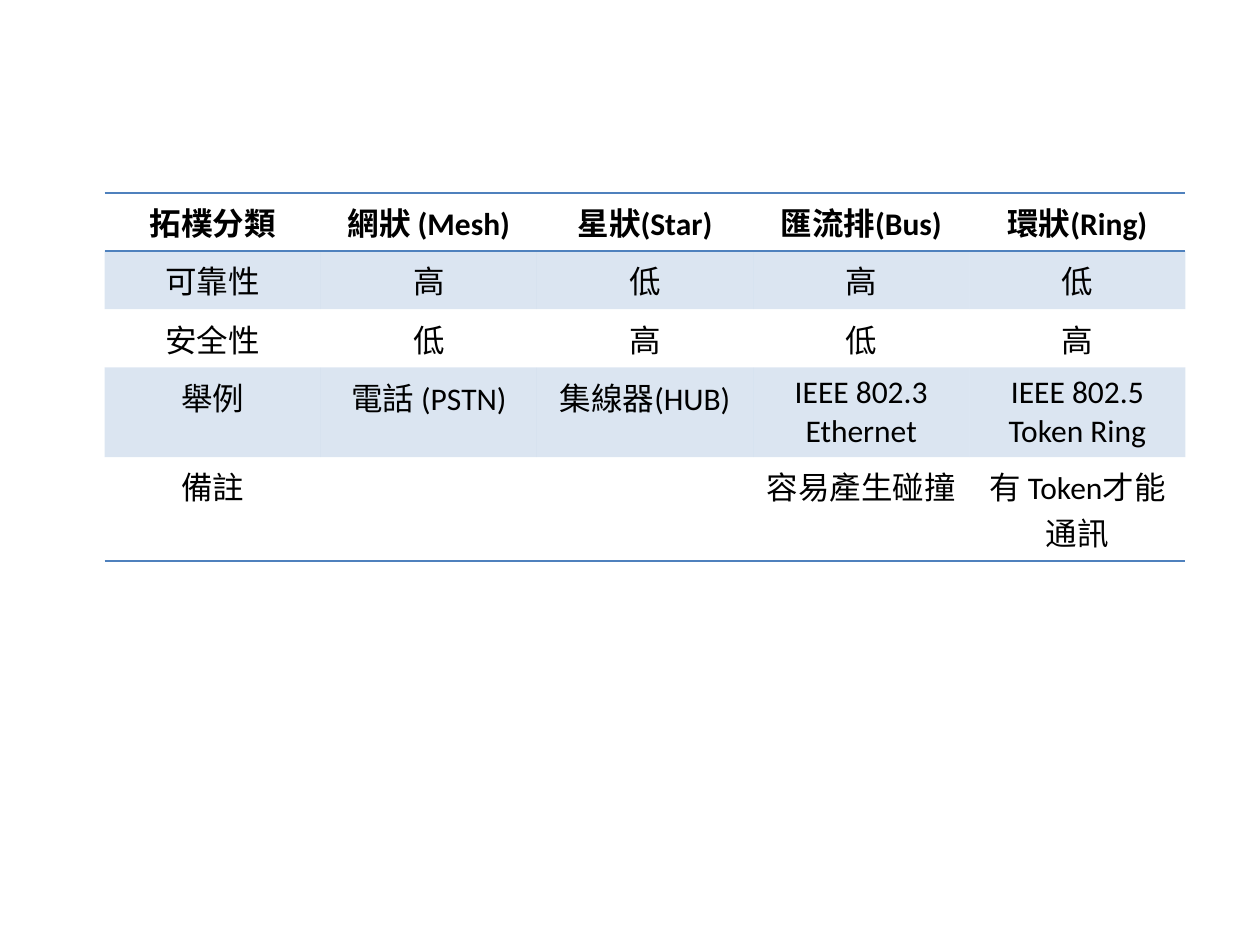
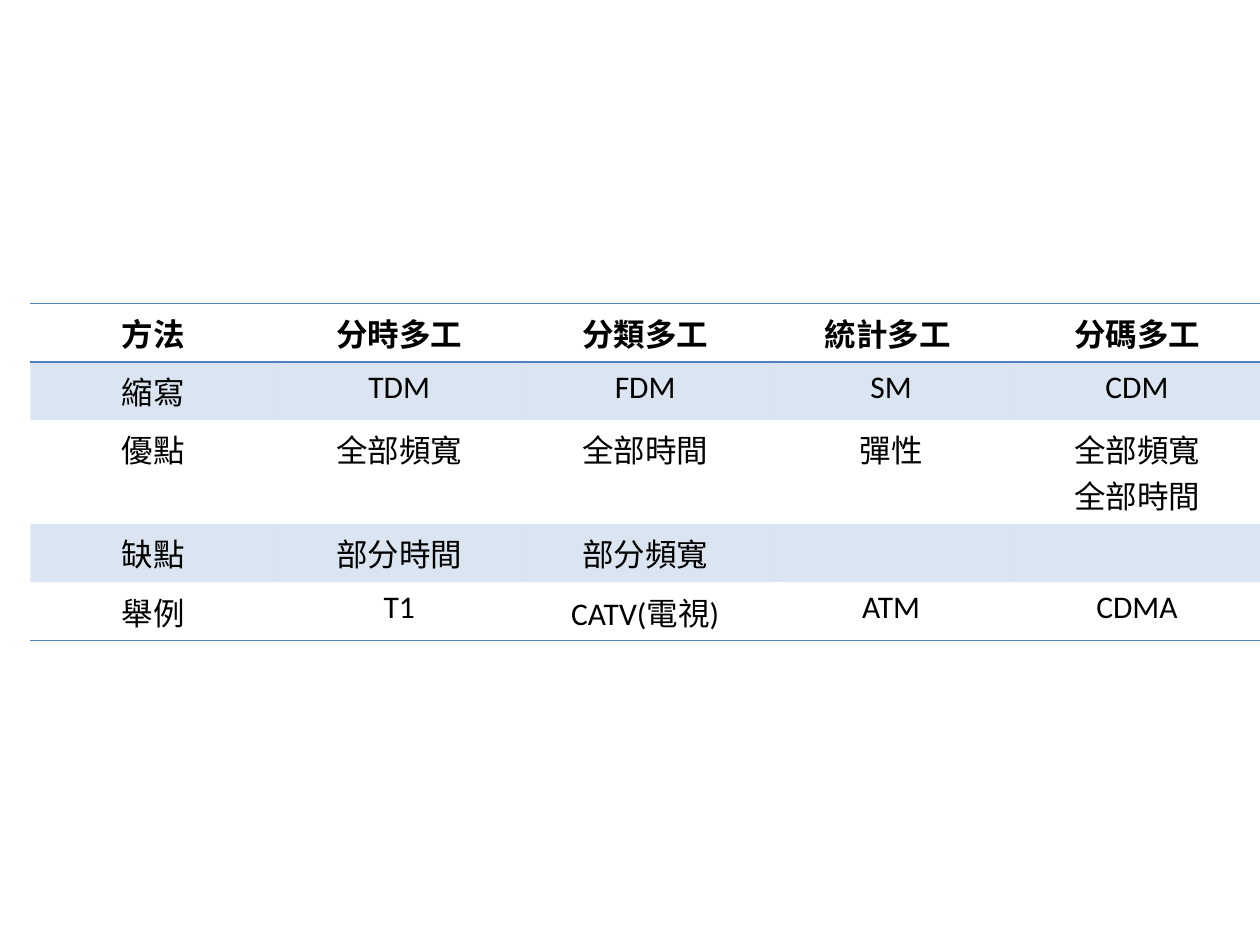
from lxml import etree
from pptx import Presentation
from pptx.dml.color import RGBColor
from pptx.enum.text import PP_ALIGN
from pptx.oxml.ns import qn
from pptx.util import Inches, Pt

CENTER = PP_ALIGN.CENTER
BLUE = RGBColor(0x4F, 0x81, 0xBD)
BLACK = RGBColor(0, 0, 0)
FONT = "Calibri"
SIZE = Pt(18)
RULE = Pt(1)
TINT = 20  # band opacity in percent
ROW = Inches(0.41)
PLAIN = "{2D5ABB26-0587-4C30-8999-92F81FD0307C}"  # no style, no grid

# Table text, header row first
TOPOLOGY = [
    ["拓樸分類", "網狀 (Mesh)", "星狀(Star)", "匯流排(Bus)", "環狀(Ring)"],
    ["可靠性", "高", "低", "高", "低"],
    ["安全性", "低", "高", "低", "高"],
    ["舉例", "電話 (PSTN)", "集線器(HUB)", "IEEE 802.3 Ethernet",
     "IEEE 802.5 Token Ring"],
    ["備註", "", "", "容易產生碰撞", "有 Token才能通訊"],
]
MULTIPLEX = [
    ["方法", "分時多工", "分類多工", "統計多工 ", "分碼多工"],
    ["縮寫", "TDM", "FDM", "SM", "CDM"],
    ["優點", "全部頻寬", "全部時間", "彈性", "全部頻寬\n全部時間"],
    ["缺點", "部分時間", "部分頻寬", "", ""],
    ["舉例", "T1", "CATV(電視)", "ATM", "CDMA"],
]


class Deck:
    """Holds the shared style and the current slide."""

    def __init__(self):
        self.prs = Presentation()
        self.prs.slide_width = Inches(10)
        self.prs.slide_height = Inches(7.5)
        self.slide = None

    def page(self):
        self.slide = self.prs.slides.add_slide(self.prs.slide_layouts[6])

    def table(self, data, left, top, width):
        """Place a ruled, banded table; lengths are percent of the slide."""
        wide, high = self.prs.slide_width, self.prs.slide_height
        last = len(data) - 1
        frame = self.slide.shapes.add_table(
            len(data), len(data[0]), int(wide * left / 100),
            int(high * top / 100), int(wide * width / 100), ROW * len(data))
        next(frame.element.iter(qn("a:tableStyleId"))).text = PLAIN
        for r, line in enumerate(data):
            for c, text in enumerate(line):
                cell = frame.table.cell(r, c)
                self.label(cell, text, r == 0)
                # Rules frame the header and close the table
                if r == 0:
                    self.rule(cell, "a:lnT")
                if r in (0, last):
                    self.rule(cell, "a:lnB")
                self.band(cell, r % 2 == 1)

    def label(self, cell, text, bold):
        cell.text_frame.text = text
        for para in cell.text_frame.paragraphs:
            para.alignment = CENTER
            for run in para.runs:
                font = run.font
                font.name, font.size, font.bold = FONT, SIZE, bold
                font.color.rgb = BLACK

    def rule(self, cell, side):
        line = etree.SubElement(cell._tc.get_or_add_tcPr(), qn(side),
                                w=str(int(RULE)))
        fill = etree.SubElement(line, qn("a:solidFill"))
        etree.SubElement(fill, qn("a:srgbClr"), val=str(BLUE))

    def band(self, cell, tinted):
        if not tinted:
            cell.fill.background()
            return
        cell.fill.solid()
        cell.fill.fore_color.rgb = BLUE
        color = next(cell._tc.tcPr.find(qn("a:solidFill")).iter(
            qn("a:srgbClr")))
        etree.SubElement(color, qn("a:alpha"), val=str(TINT * 1000))


def main():
    deck = Deck()

    # Network topologies
    deck.page()
    deck.table(TOPOLOGY, 8.3, 20.4, 85.8)

    # Multiplexing methods
    deck.page()
    deck.table(MULTIPLEX, 2.4, 32.13, 97.6)

    deck.prs.save("out.pptx")


if __name__ == "__main__":
    main()
